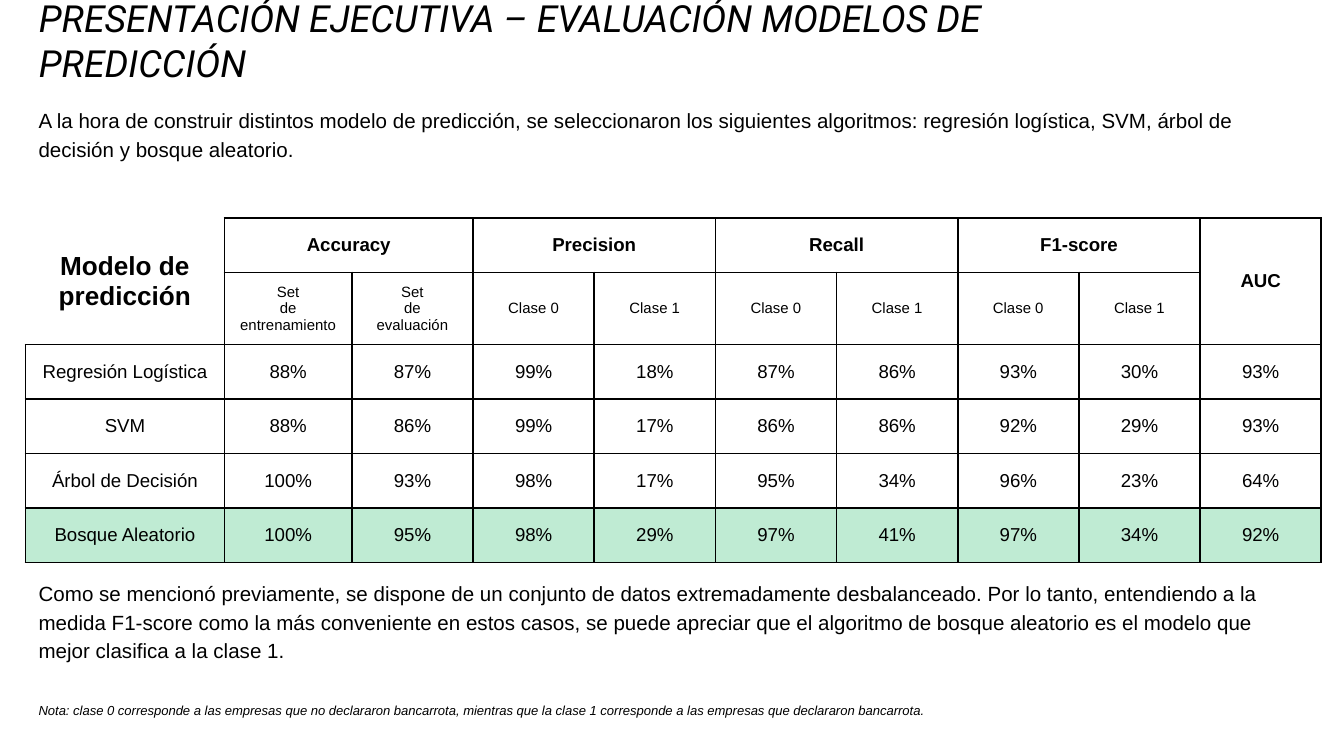
import pptx
import pptx.dml.color
import pptx.enum.text
import pptx.oxml
import pptx.oxml.ns
import pptx.util

Cm = pptx.util.Cm
Pt = pptx.util.Pt
ALIGN = pptx.enum.text.PP_ALIGN
ANCHOR = pptx.enum.text.MSO_ANCHOR
NS = pptx.oxml.ns.nsdecls("a")
HUES = {"ink": "000000", "best": "00B050"}
LEFT, WIDE = 0.48, 24.46

INTRO = "A la hora de construir distintos modelo de predicción, se seleccionaron los siguientes algoritmos: regresión logística, SVM, árbol de decisión y bosque aleatorio."
CLOSE = "Como se mencionó previamente, se dispone de un conjunto de datos extremadamente desbalanceado. Por lo tanto, entendiendo a la medida F1-score como la más conveniente en estos casos, se puede apreciar que el algoritmo de bosque aleatorio es el modelo que mejor clasifica a la clase 1."
NOTE = "Nota: clase 0 corresponde a las empresas que no declararon bancarrota, mientras que la clase 1 corresponde a las empresas que declararon bancarrota."
HEADS = ["Modelo de predicción", "Accuracy", "", "Precision", "", "Recall", "", "F1-score", "", "AUC"]
SUBS = ["", "Set\nde entrenamiento", "Set\nde\nevaluación"] + ["Clase 0", "Clase 1"] * 3 + [""]
SCORES = {
    "Regresión Logística": [88, 87, 99, 18, 87, 86, 93, 30, 93],
    "SVM": [88, 86, 99, 17, 86, 86, 92, 29, 93],
    "Árbol de Decisión": [100, 93, 98, 17, 95, 34, 96, 23, 64],
    "Bosque Aleatorio": [100, 95, 98, 29, 97, 41, 97, 34, 92],
}


class Deck:
    """Hold the style and the current slide, and add each kind of element."""

    def __init__(self):
        self.show = pptx.Presentation()
        self.show.slide_width, self.show.slide_height = Cm(25.4), Cm(14.29)
        self.slide = self.show.slides.add_slide(self.show.slide_layouts[5])

    def style(self, frame, size, face="Arial", bold=False, slant=False, align=ALIGN.LEFT):
        for para in frame.paragraphs:
            para.alignment = align
            font = para.font
            font.name, font.size, font.bold, font.italic = face, Pt(size), bold, slant
            font.color.rgb = pptx.dml.color.RGBColor.from_string(HUES["ink"])

    def title(self, text, left, top, width, height):
        box = self.slide.shapes.title
        box.left, box.top, box.width, box.height = Cm(left), Cm(top), Cm(width), Cm(height)
        frame = box.text_frame
        frame.text = text
        frame.auto_size = pptx.enum.text.MSO_AUTO_SIZE.NONE
        frame.vertical_anchor = ANCHOR.BOTTOM
        self.style(frame, 20, face="Roboto", slant=True)

    def text(self, text, top, height, size, slant=False):
        box = self.slide.shapes.add_textbox(Cm(LEFT), Cm(top), Cm(WIDE), Cm(height))
        frame = box.text_frame
        frame.text = text
        frame.word_wrap = True
        frame.margin_top = frame.margin_bottom = Cm(0.25)
        para = frame.paragraphs[0]
        para.line_spacing, para.space_before = 1.15, Pt(6)
        self.style(frame, size, slant=slant)

    def border(self, cell, sides):
        props = cell._tc.get_or_add_tcPr()
        for spot, side in enumerate(sides):
            props.insert(spot, pptx.oxml.parse_xml(
                f'<a:ln{side} {NS} w="12700"><a:solidFill><a:srgbClr val="{HUES["ink"]}"/>'
                f'</a:solidFill></a:ln{side}>'))

    def tint(self, cell, hue, alpha):
        cell.fill.solid()
        cell.fill.fore_color.rgb = pptx.dml.color.RGBColor.from_string(hue)
        tone = cell._tc.tcPr.find(".//" + pptx.oxml.ns.qn("a:srgbClr"))
        tone.append(pptx.oxml.parse_xml(f'<a:alpha {NS} val="{alpha * 1000}"/>'))

    def table(self, rows, top, widths, heights, spans):
        grid = self.slide.shapes.add_table(
            len(rows), len(widths), Cm(LEFT), Cm(top), Cm(sum(widths)), Cm(sum(heights))).table
        grid.first_row = grid.horz_banding = False
        for col, width in zip(grid.columns, widths):
            col.width = Cm(width)
        for row, height in zip(grid.rows, heights):
            row.height = Cm(height)
        for first, last in spans:
            grid.cell(*first).merge(grid.cell(*last))
        for r, row in enumerate(rows):
            for c, text in enumerate(row):
                cell = grid.cell(r, c)
                corner = r < 2 and c == 0
                cell.text = text
                cell.vertical_anchor = ANCHOR.MIDDLE
                size = 14 if corner else 8 if r == 1 else 10
                self.style(cell.text_frame, size, bold=r == 0, align=ALIGN.CENTER)
                if r == len(rows) - 1:
                    self.tint(cell, HUES["best"], 25)
                else:
                    cell.fill.background()
                self.border(cell, "RB" if corner else "LRTB")


def main():
    deck = Deck()
    deck.title("PRESENTACIÓN EJECUTIVA – EVALUACIÓN MODELOS DE PREDICCIÓN", LEFT, 0.56, 20.98, 1.17)
    rows = [HEADS, SUBS] + [[name] + [f"{n}%" for n in nums] for name, nums in SCORES.items()]
    pairs = [((0, c), (0, c + 1)) for c in range(1, 9, 2)]
    talls = [((0, c), (1, c)) for c in (0, 9)]
    deck.table(rows, 4.12, [3.76, 2.41] + [2.29] * 8, [1.03, 1.36] + [1.03] * 4, pairs + talls)
    deck.text(INTRO, 1.73, 2.74, 11)
    deck.text(CLOSE, 10.67, 2.74, 11)
    deck.text(NOTE, 13.06, 1.37, 7, slant=True)
    deck.show.save("out.pptx")


if __name__ == "__main__":
    main()
